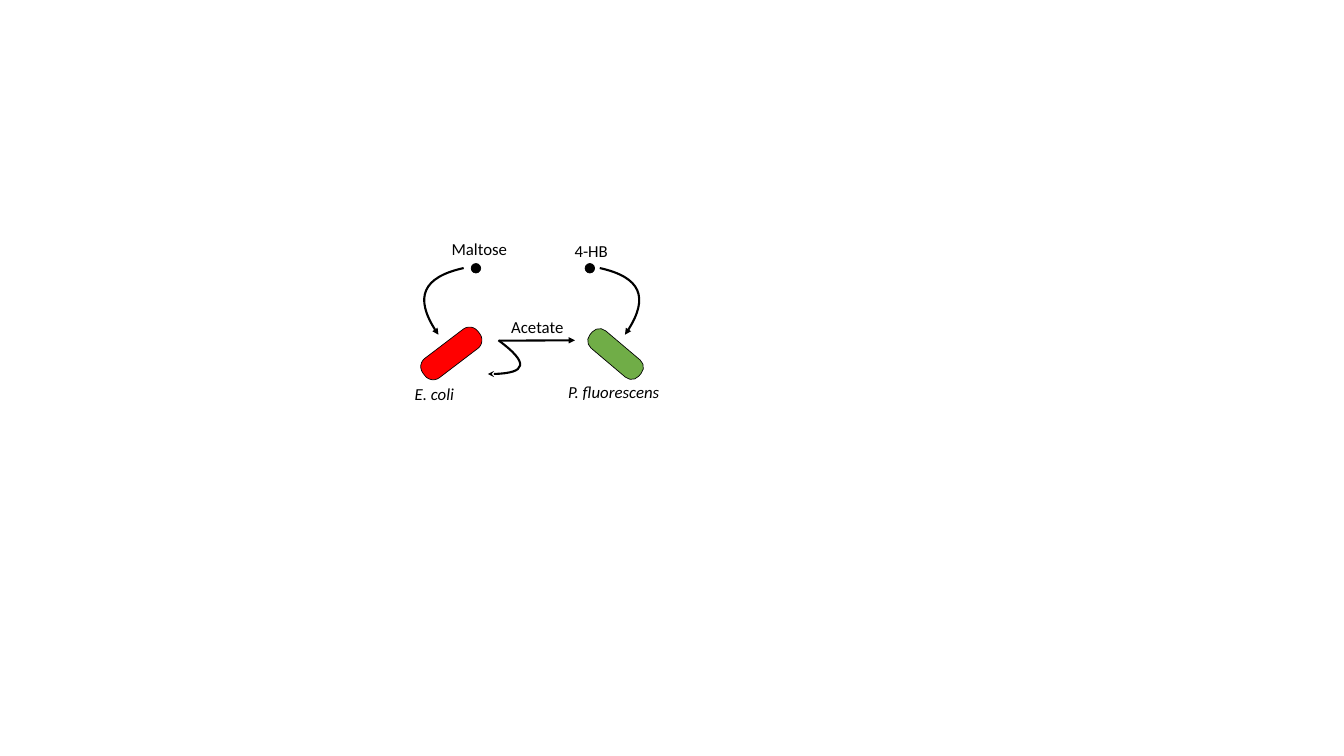
from pptx import Presentation
from pptx.dml.color import RGBColor
from pptx.enum.shapes import MSO_CONNECTOR, MSO_SHAPE
from pptx.enum.text import MSO_ANCHOR, PP_ALIGN
from pptx.oxml.ns import qn
from pptx.util import Cm, Pt
from lxml import etree

ROUND, OVAL = MSO_SHAPE.ROUNDED_RECTANGLE, MSO_SHAPE.OVAL
LINE = MSO_CONNECTOR.STRAIGHT
LEFT, CENTER = PP_ALIGN.LEFT, PP_ALIGN.CENTER
TOP = MSO_ANCHOR.TOP
BLANK = 6
STEPS = 40
MIRROR = 53.6  # sum of the x values of mirrored points


def color(text):
    """Turn a hex string into a colour."""
    return RGBColor.from_string(text)


def bezier(pts, t):
    """Give the point at t on a cubic curve."""
    u = 1 - t
    parts = (u ** 3, 3 * u * u * t, 3 * u * t * t, t ** 3)
    return tuple(sum(k * p[i] for k, p in zip(parts, pts)) for i in (0, 1))


class Sketch:
    """Holds the style and the current slide."""

    font, size, ink = "Calibri", 24, "000000"
    thin, thick = 1, 3

    def __init__(self, slide):
        """Keep the slide to draw on."""
        self.shapes = slide.shapes

    def shape(self, kind, x, y, w, h, fill, turn=0, adj=None):
        """Add a filled shape with a thin outline."""
        item = self.shapes.add_shape(kind, Cm(x), Cm(y), Cm(w), Cm(h))
        item.shadow.inherit = False
        item.rotation = turn
        if adj is not None:
            item.adjustments[0] = adj
        item.fill.solid()
        item.fill.fore_color.rgb = color(fill)
        item.line.color.rgb = color(self.ink)
        item.line.width = Pt(self.thin)

    def label(self, text, x, y, w, italic=False, align=LEFT):
        """Add one line of text."""
        box = self.shapes.add_textbox(Cm(x), Cm(y), Cm(w), Cm(1.14))
        frame = box.text_frame
        frame.word_wrap = True
        frame.vertical_anchor = TOP
        frame.margin_left = frame.margin_right = 0
        frame.margin_top = frame.margin_bottom = 0
        para = frame.paragraphs[0]
        para.alignment = align
        run = para.add_run()
        run.text = text
        font = run.font
        font.name, font.size, font.italic = self.font, Pt(self.size), italic
        font.color.rgb = color(self.ink)

    def tip(self, item, head):
        """Style a line and put an arrowhead at its end."""
        item.line.color.rgb = color(self.ink)
        item.line.width = Pt(self.thick)
        line = item.line._get_or_add_ln()
        etree.SubElement(line, qn("a:tailEnd"), type=head)

    def arrow(self, x1, y1, x2, y2):
        """Add a straight arrow."""
        item = self.shapes.add_connector(LINE, Cm(x1), Cm(y1), Cm(x2), Cm(y2))
        self.tip(item, "triangle")
        etree.SubElement(item._element.spPr, qn("a:effectLst"))

    def curve(self, pts, head="triangle"):
        """Add a curved arrow from four Bezier points."""
        pts = [(Cm(x), Cm(y)) for x, y in pts]
        dots = [bezier(pts, i / STEPS) for i in range(STEPS + 1)]
        form = self.shapes.build_freeform(*map(int, dots[0]), scale=1.0)
        form.add_line_segments(dots[1:], close=False)
        item = form.convert_to_shape()
        item.shadow.inherit = False
        item.fill.background()
        self.tip(item, head)
        # The sampled points set the frame; one true curve replaces them.
        route = item._element.spPr.find(".//" + qn("a:path"))
        for node in route.findall(qn("a:lnTo")):
            route.remove(node)
        cubic = etree.SubElement(route, qn("a:cubicBezTo"))
        for x, y in pts[1:]:
            etree.SubElement(cubic, qn("a:pt"), x=str(x - item.left),
                             y=str(y - item.top))


def main():
    """Build the slide and save it."""
    deck = Presentation()
    deck.slide_width, deck.slide_height = Cm(67.74), Cm(38.1)
    art = Sketch(deck.slides.add_slide(deck.slide_layouts[BLANK]))

    art.shape(ROUND, 21.01, 17.2, 3.48, 1.22, "FF0000", 322.7, 0.43)
    art.shape(ROUND, 29.41, 17.27, 3.23, 1.14, "70AD47", 220.2, 0.42)
    art.label("Acetate", 25.53, 15.98, 3.1, align=CENTER)
    art.label("E. coli", 20.9, 19.33, 2.59, italic=True)
    for x in (23.75, 29.49):
        art.shape(OVAL, x, 13.28, 0.48, 0.48, art.ink)
    art.label("Maltose", 22.76, 12.04, 3.25)
    art.label("4-HB", 28.96, 12.14, 2.03)

    art.arrow(25.17, 17.17, 28.98, 17.15)
    feed = [(23.37, 13.51), (21.29, 13.97), (20.85, 15.09), (22.1, 16.87)]
    art.curve(feed)
    art.curve([(MIRROR - x, y) for x, y in feed])
    art.curve([(25.12, 17.15), (26.7, 18.31), (26.52, 18.87),
               (24.59, 18.85)], "stealth")
    art.label("P. fluorescens", 28.63, 19.25, 5.84, italic=True)
    deck.save("out.pptx")


main()
